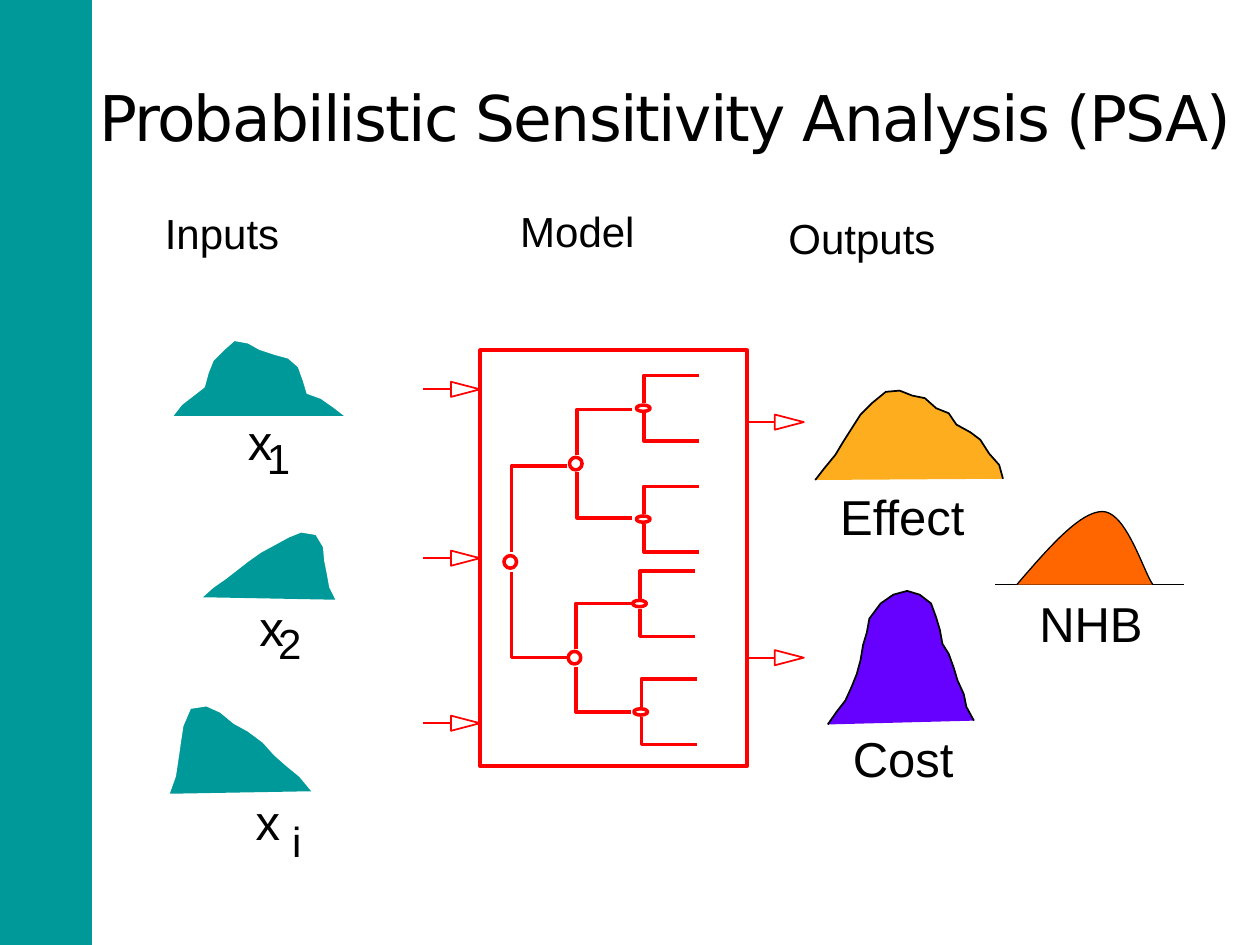
from lxml import etree
from pptx import Presentation
from pptx.dml.color import RGBColor
from pptx.enum.shapes import MSO_CONNECTOR, MSO_SHAPE
from pptx.enum.text import MSO_ANCHOR, MSO_AUTO_SIZE, PP_ALIGN
from pptx.oxml.ns import qn
from pptx.util import Inches, Pt

RECT, OVAL = MSO_SHAPE.RECTANGLE, MSO_SHAPE.OVAL
STRAIGHT = MSO_CONNECTOR.STRAIGHT
MIDDLE, CENTER = MSO_ANCHOR.MIDDLE, PP_ALIGN.CENTER
FIT_TEXT, NO_FIT = MSO_AUTO_SIZE.SHAPE_TO_FIT_TEXT, MSO_AUTO_SIZE.NONE

TEAL, RED, BLACK, WHITE = "009999", "FF0000", "000000", "FFFFFF"
AMBER, VIOLET, ORANGE = "FDAD1E", "6600FF", "FF6600"

X1 = [(1.37, 3.3), (1.44, 3.21), (1.53, 3.14), (1.62, 3.07), (1.65, 2.96),
      (1.69, 2.86), (1.78, 2.77), (1.86, 2.7), (1.97, 2.72), (2.06, 2.77),
      (2.18, 2.81), (2.29, 2.84), (2.37, 2.91), (2.41, 3.02), (2.44, 3.12),
      (2.55, 3.16), (2.65, 3.23), (2.74, 3.3)]
X2 = [(1.6, 4.74), (1.69, 4.66), (1.79, 4.59), (1.88, 4.52), (1.97, 4.45),
      (2.07, 4.38), (2.18, 4.32), (2.29, 4.26), (2.39, 4.22), (2.51, 4.24),
      (2.57, 4.34), (2.58, 4.45), (2.6, 4.55), (2.62, 4.66), (2.67, 4.76)]
XI = [(2.48, 6.28), (2.38, 6.16), (2.27, 6.07), (2.18, 5.99), (2.09, 5.89),
      (1.97, 5.8), (1.86, 5.74), (1.75, 5.65), (1.64, 5.6), (1.51, 5.62),
      (1.45, 5.76), (1.43, 5.89), (1.41, 6.03), (1.39, 6.16), (1.34, 6.3)]
COST = [(6.57, 5.75), (6.64, 5.65), (6.71, 5.56), (6.76, 5.45), (6.8, 5.35),
        (6.83, 5.24), (6.85, 5.12), (6.88, 5.02), (6.9, 4.91), (6.99, 4.79),
        (7.09, 4.72), (7.2, 4.69), (7.3, 4.72), (7.39, 4.79), (7.43, 4.9),
        (7.46, 5), (7.48, 5.11), (7.53, 5.19), (7.57, 5.3), (7.6, 5.4),
        (7.65, 5.51), (7.67, 5.61), (7.73, 5.72)]
EFFECT = [(6.47, 3.81), (6.54, 3.72), (6.63, 3.61), (6.69, 3.51), (6.76, 3.4),
          (6.83, 3.29), (6.92, 3.2), (7.03, 3.11), (7.14, 3.1), (7.24, 3.14),
          (7.34, 3.16), (7.43, 3.24), (7.53, 3.28), (7.59, 3.37), (7.7, 3.43),
          (7.78, 3.49), (7.85, 3.6), (7.93, 3.69), (7.96, 3.8)]
NHB_RISE = [(8.07, 4.64), (8.32, 4.35), (8.57, 4.06), (8.75, 4.06)]
NHB_FALL = [(8.75, 4.06), (8.94, 4.06), (9.08, 4.55), (9.15, 4.64)]

LABELS = [
    ("Inputs", 1.21, 1.6, 1.89, 24), ("Model", 4.03, 1.58, 1.89, 24),
    ("Outputs", 6.16, 1.64, 2.34, 24),
    ("x", 1.87, 3.22, 0.4, 28), ("1", 2.02, 3.38, 0.43, 24),
    ("x", 1.96, 4.69, 0.4, 28), ("2", 2.11, 4.85, 0.43, 24),
    ("x", 1.93, 6.23, 0.44, 28), ("i", 2.22, 6.42, 0.28, 24),
    ("Effect", 6.57, 3.81, 1.32, 28), ("Cost", 6.67, 5.73, 1.11, 28),
    ("NHB", 8.15, 4.66, 1.03, 28),
]


def color(hex_text):
    return RGBColor.from_string(hex_text)


def style(sp, fill=None, line=None, width=1):
    sp.shadow.inherit = False
    if fill:
        sp.fill.solid()
        sp.fill.fore_color.rgb = color(fill)
    else:
        sp.fill.background()
    if line:
        sp.line.color.rgb = color(line)
        sp.line.width = Pt(width)
    else:
        sp.line.fill.background()


def add_preset(s, kind, x, y, w, h, **look):
    sp = s.shapes.add_shape(kind, Inches(x), Inches(y), Inches(w), Inches(h))
    style(sp, **look)


def add_path(s, points, close=False, **look):
    emu = [(Inches(x), Inches(y)) for x, y in points]
    builder = s.shapes.build_freeform(*emu[0])
    builder.add_line_segments(emu[1:], close=close)
    style(builder.convert_to_shape(), **look)


def add_line(s, x1, y1, x2, y2, line, width):
    cn = s.shapes.add_connector(STRAIGHT, Inches(x1), Inches(y1), Inches(x2), Inches(y2))
    cn.line.color.rgb = color(line)
    cn.line.width = Pt(width)
    etree.SubElement(cn._element.spPr, qn("a:effectLst"))


def add_run(p, text, size, font):
    r = p.add_run()
    r.text = text
    r.font.size = Pt(size)
    r.font.name = font
    r.font.color.rgb = color(BLACK)
    return r


def add_label(s, text, x, y, w, size):
    height = 0.51 if size == 24 else 0.57
    tf = s.shapes.add_textbox(Inches(x), Inches(y), Inches(w), Inches(height)).text_frame
    tf.word_wrap = w > 0.42 and text != "NHB"
    tf.auto_size = FIT_TEXT
    add_run(tf.paragraphs[0], text, size, "Arial")


def add_title(s, text):
    sp = s.shapes.title
    sp.left, sp.top, sp.width, sp.height = Inches(0.63), Inches(0.3), Inches(9.3), Inches(1.25)
    tf = sp.text_frame
    tf.margin_left = tf.margin_right = tf.margin_top = tf.margin_bottom = Inches(0.1)
    tf.vertical_anchor = MIDDLE
    tf.word_wrap = True
    tf.auto_size = NO_FIT
    p = tf.paragraphs[0]
    p.alignment = CENTER
    r = add_run(p, text, 36, "DejaVu Sans")
    r.font._element.set("spc", "-100")


def add_arrow(s, x, y):
    """Short shaft followed by an open triangular head."""
    neck, tip = x + 0.22, x + 0.45
    add_line(s, x, y, neck, y, RED, 1)
    add_path(s, [(tip, y), (neck, y - 0.06), (neck, y + 0.06)], close=True,
             fill=WHITE, line=RED)


def add_fork(s, x, y, gap, rise, node_height):
    """Tree node at (x, y) with one branch going up and one going down."""
    width = 0.1 if node_height == 0.1 else 0.11
    add_preset(s, OVAL, x - 0.06, y - node_height / 2, width, node_height,
               line=RED, width=2)
    for sign in (-1, 1):
        end = y + sign * rise
        add_path(s, [(x, y + sign * gap), (x, end), (x + 0.44, end)], line=RED, width=2)


def bezier(p0, p1, p2, p3, steps=20):
    points = []
    for i in range(steps + 1):
        t = i / steps
        u = 1 - t
        points.append(tuple(u**3 * a + 3 * u * u * t * b + 3 * u * t * t * c + t**3 * d
                            for a, b, c, d in zip(p0, p1, p2, p3)))
    return points


def add_model(s):
    add_path(s, [(3.81, 6.08), (3.81, 2.78), (5.93, 2.78), (5.93, 6.08)],
             close=True, line=RED, width=2)
    for y in (3.09, 4.43, 5.74):
        add_arrow(s, 3.36, y)
    for y in (3.35, 5.22):
        add_arrow(s, 5.93, y)
    add_fork(s, 4.06, 4.46, 0.08, 0.76, 0.1)
    for x, y in ((4.58, 3.68), (4.57, 5.22)):
        add_fork(s, x, y, 0.07, 0.43, 0.1)
    for x, y in ((5.11, 3.24), (5.11, 4.12), (5.08, 4.79), (5.09, 5.65)):
        add_fork(s, x, y, 0.04, 0.26, 0.05)


def main():
    prs = Presentation()
    prs.slide_width, prs.slide_height = Inches(10), Inches(7.5)
    s = prs.slides.add_slide(prs.slide_layouts[5])
    add_preset(s, RECT, 0, 0, 0.73, 7.5, fill=TEAL)
    add_title(s, "Probabilistic Sensitivity Analysis (PSA)")
    for points in (X1, X2, XI):
        add_path(s, points, fill=TEAL, line=WHITE)
    add_model(s)
    add_path(s, COST, fill=VIOLET, line=BLACK)
    add_path(s, EFFECT, fill=AMBER, line=BLACK)
    add_line(s, 7.9, 4.64, 9.4, 4.64, BLACK, 0.75)
    add_path(s, bezier(*NHB_RISE) + bezier(*NHB_FALL)[1:],
             fill=ORANGE, line=BLACK, width=0.75)
    for label in LABELS:
        add_label(s, *label)
    prs.save("out.pptx")


if __name__ == "__main__":
    main()
